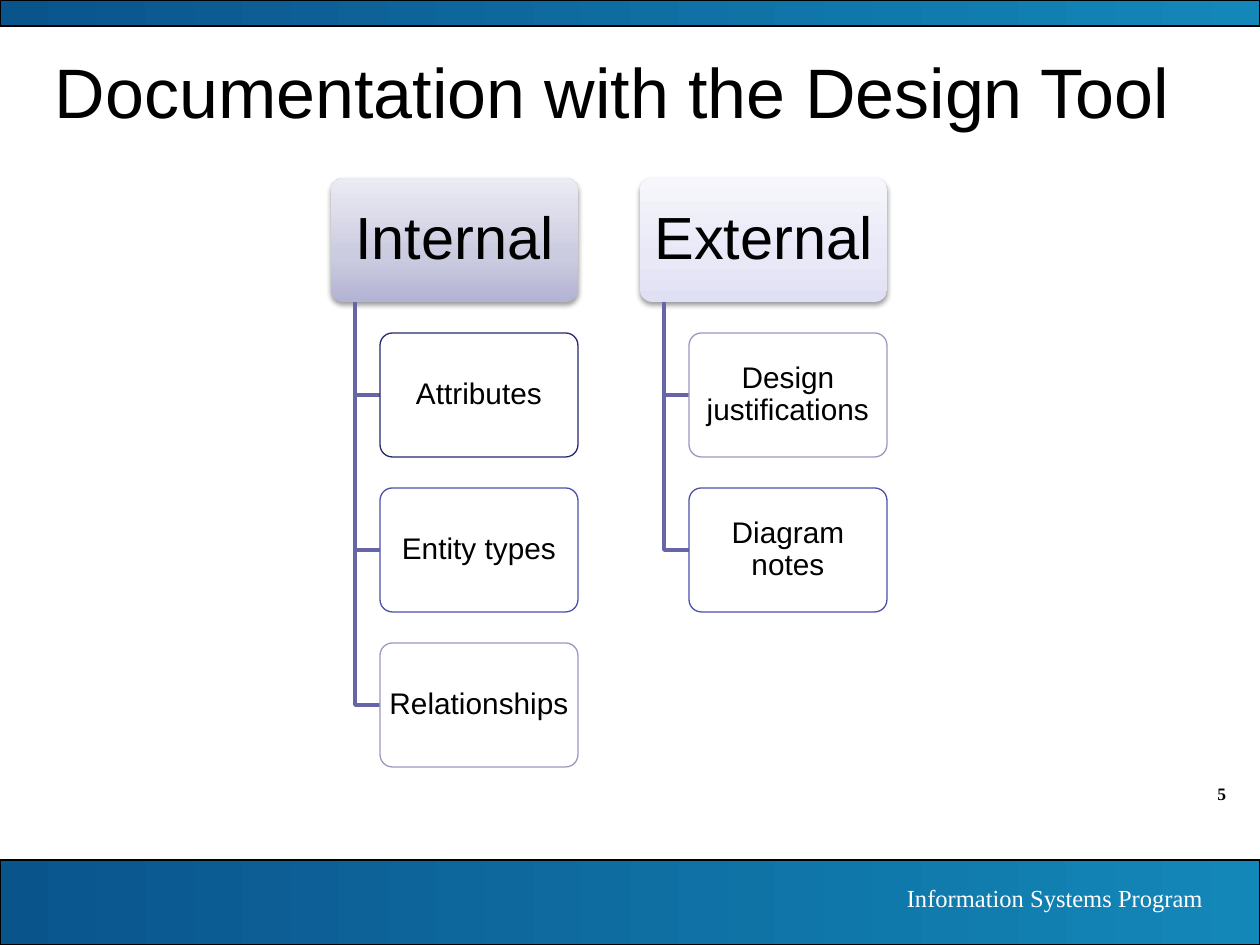
from lxml import etree
from pptx import Presentation
from pptx import util as u
from pptx.dml.color import RGBColor
from pptx.enum import shapes, text
from pptx.oxml.ns import qn

PX = 7257  # EMU in one px, 126 px to the inch
SLIDE_W, SLIDE_H = 1260, 945
COLORS = {
    "ink": "000000", "paper": "FFFFFF", "branch": "6666A7",
    "navy": "262671", "indigo": "4E4EAB", "lilac": "9999C1",
}
BAND = [(0, "0A548C"), (100, "1387B8")]
INTERNAL = [(0, "B3B3D4"), (35, "CACAE0"), (100, "EBEBF4")]
EXTERNAL = [(0, "E0E0F4"), (35, "E8E8F7"), (100, "F6F6FC")]


def px(*lengths):
    return [u.Emu(length * PX) for length in lengths]


def rgb(name):
    return RGBColor.from_string(COLORS[name])


def add_color(parent, value, alpha=None):
    color = etree.SubElement(parent, qn("a:srgbClr"), val=value)
    if alpha is not None:
        etree.SubElement(color, qn("a:alpha"), val=str(alpha * 1000))


def fill_gradient(shape, stops, angle):
    shape.fill.gradient()
    shape.fill.gradient_angle = angle
    stop_list = shape.element.spPr.find(".//" + qn("a:gsLst"))
    stop_list.clear()
    for position, value in stops:
        stop = etree.SubElement(stop_list, qn("a:gs"), pos=str(position * 1000))
        add_color(stop, value)


def add_drop_shadow(shape):
    effects = shape.element.spPr.find(qn("a:effectLst"))
    shadow = etree.SubElement(
        effects, qn("a:outerShdw"), blurRad=str(u.Pt(3.1)), dist=str(u.Pt(1.6)),
        dir="5400000", rotWithShape="0")
    add_color(shadow, COLORS["ink"], 38)


def write(shape, words, size, font="Arial", color="ink", bold=False,
          align=text.PP_ALIGN.LEFT, anchor=text.MSO_ANCHOR.TOP,
          insets=(13, 6), spacing=None):
    frame = shape.text_frame
    frame.word_wrap = True
    frame.vertical_anchor = anchor
    frame.margin_left = frame.margin_right = px(insets[0])[0]
    frame.margin_top = frame.margin_bottom = px(insets[1])[0]
    paragraph = frame.paragraphs[0]
    paragraph.alignment = align
    paragraph.line_spacing = spacing
    run = paragraph.add_run()
    run.text = words
    run.font.size = u.Pt(size)
    run.font.name = font
    run.font.bold = bold
    run.font.color.rgb = rgb(color)


def add_band(slide, box):
    band = slide.shapes.add_shape(shapes.MSO_SHAPE.RECTANGLE, *px(*box))
    band.shadow.inherit = False
    fill_gradient(band, BAND, 0)
    band.line.color.rgb = rgb("ink")
    band.line.width = u.Pt(0.75)


def add_label(slide, box, words, size, **style):
    write(slide.shapes.add_textbox(*px(*box)), words, size, **style)


def add_card(slide, box, words, size):
    card = slide.shapes.add_shape(shapes.MSO_SHAPE.ROUNDED_RECTANGLE, *px(*box))
    card.adjustments[0] = 0.1
    card.shadow.inherit = False
    write(card, words, size, align=text.PP_ALIGN.CENTER,
          anchor=text.MSO_ANCHOR.MIDDLE, insets=(4, 4), spacing=0.9)
    return card


def add_branch(slide, x, top, bottom, right):
    builder = slide.shapes.build_freeform(x, top, scale=PX)
    builder.add_line_segments([(x, bottom), (right, bottom)], close=False)
    branch = builder.convert_to_shape()
    branch.shadow.inherit = False
    branch.fill.background()
    branch.line.color.rgb = rgb("branch")
    branch.line.width = u.Pt(2)


def add_hierarchy(slide, box, heading, stops, items):
    """A heading card with its items hung below, one row each."""
    left, top, width, row_h = box
    pitch = row_h * 5 // 4
    trunk_x, item_x = left + width // 10, left + width // 5
    # Heading
    head = add_card(slide, box, heading, 34)
    fill_gradient(head, stops, 90)
    head.line.fill.background()
    add_drop_shadow(head)
    # Items and their branches
    for row, (words, outline) in enumerate(items, 1):
        item_y = top + row * pitch
        add_branch(slide, trunk_x, top + row_h, item_y + row_h // 2, item_x)
        item = add_card(slide, (item_x, item_y, left + width - item_x, row_h),
                        words, 17)
        item.fill.solid()
        item.fill.fore_color.rgb = rgb("paper")
        item.line.color.rgb = rgb(outline)
        item.line.width = u.Pt(0.75)


def main():
    deck = Presentation()
    deck.slide_width, deck.slide_height = u.Inches(10), u.Inches(7.5)
    slide = deck.slides.add_slide(deck.slide_layouts[6])

    # Page frame
    right, serif = text.PP_ALIGN.RIGHT, "Times New Roman"
    add_label(slide, (1134, 777, 105, 34), "5", 10, font=serif, bold=True,
              align=right)
    add_band(slide, (0, 860, SLIDE_W, SLIDE_H - 860))
    add_band(slide, (0, 0, SLIDE_W, 26))
    add_label(slide, (700, 877, 516, 43), "Information Systems Program", 14,
              font=serif, color="paper", align=right)

    # Title
    add_label(slide, (42, 38, 1197, 94), "Documentation with the Design Tool",
              40, anchor=text.MSO_ANCHOR.BOTTOM, insets=(13, 0))

    # Kinds of documentation
    add_hierarchy(slide, (331, 178, 247, 124), "Internal", INTERNAL, [
        ("Attributes", "navy"), ("Entity types", "indigo"),
        ("Relationships", "lilac")])
    add_hierarchy(slide, (640, 178, 247, 124), "External", EXTERNAL, [
        ("Design justifications", "lilac"), ("Diagram notes", "indigo")])

    deck.save("out.pptx")


if __name__ == "__main__":
    main()
